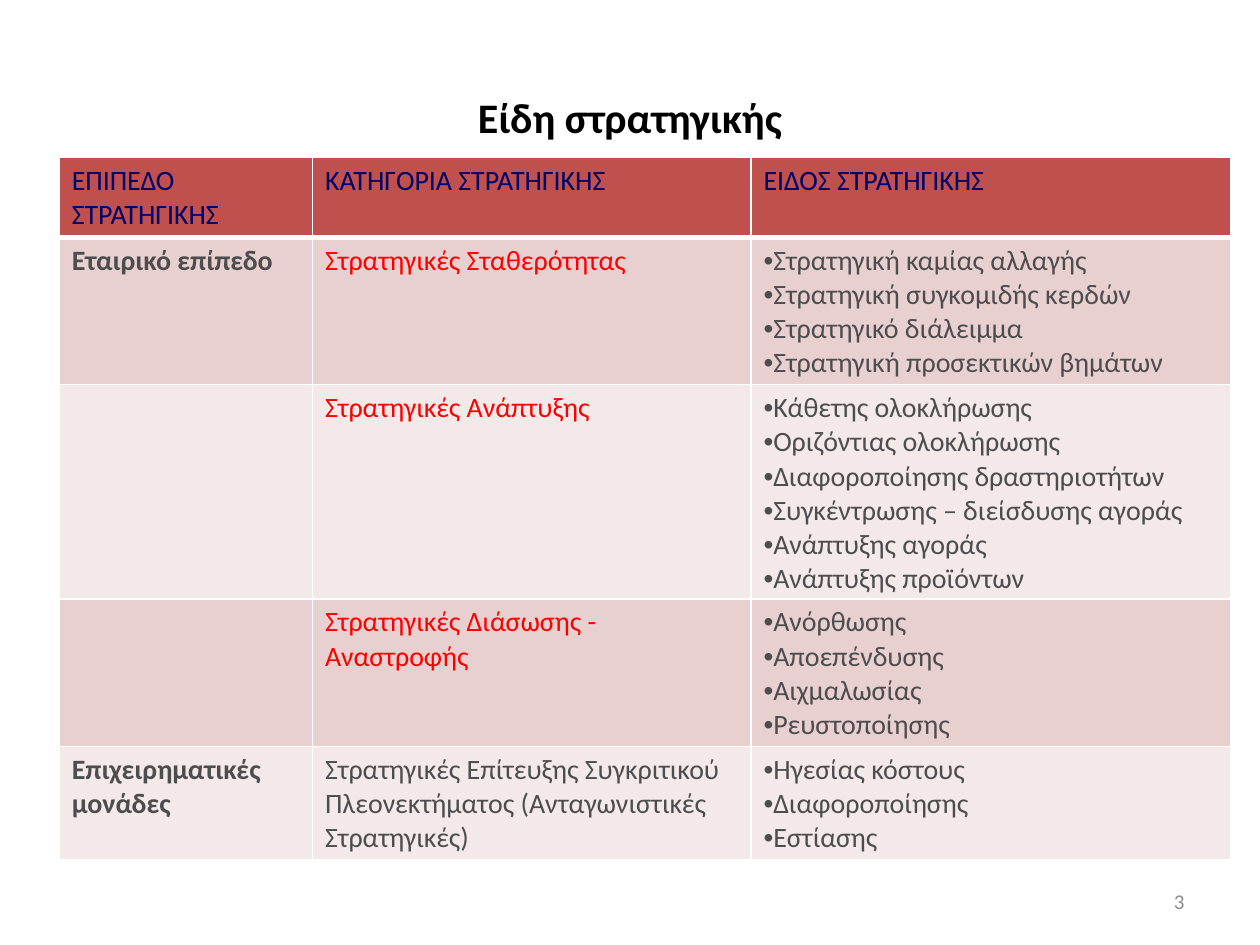
from dataclasses import dataclass

from lxml.etree import SubElement
from pptx import Presentation
from pptx.dml.color import RGBColor
from pptx.enum.text import MSO_ANCHOR as Anchor, PP_ALIGN as Align
from pptx.oxml.ns import qn
from pptx.util import Inches, Pt

FONT = "Calibri"
COLORS = {
    "title": "000000",
    "header_text": "000066",
    "body": "4D4D4D",
    "category": "FF0000",
    "number": "8C8C8C",
    "header": "C0504D",
    "dark_band": "E8D0D0",
    "light_band": "F4E9E9",
    "border": "FFFFFF",
}
COLUMN_WIDTHS = (2.01, 3.48, 3.81)
ROW_HEIGHTS = (0.63, 1.17, 1.7, 1.17, 0.9)
HEADERS = ("ΕΠΙΠΕΔΟ ΣΤΡΑΤΗΓΙΚΗΣ", "ΚΑΤΗΓΟΡΙΑ ΣΤΡΑΤΗΓΙΚΗΣ", "ΕΙΔΟΣ ΣΤΡΑΤΗΓΙΚΗΣ")


@dataclass
class StrategyRow:
    level: str
    category: str
    kinds: tuple[str, ...]
    category_color: str = "category"


STRATEGIES = (
    StrategyRow("Εταιρικό επίπεδο", "Στρατηγικές Σταθερότητας", (
        "Στρατηγική καμίας αλλαγής",
        "Στρατηγική συγκομιδής κερδών",
        "Στρατηγικό διάλειμμα",
        "Στρατηγική προσεκτικών βημάτων",
    )),
    StrategyRow("", "Στρατηγικές Ανάπτυξης", (
        "Κάθετης ολοκλήρωσης",
        "Οριζόντιας ολοκλήρωσης",
        "Διαφοροποίησης δραστηριοτήτων",
        "Συγκέντρωσης – διείσδυσης αγοράς",
        "Ανάπτυξης αγοράς",
        "Ανάπτυξης προϊόντων",
    )),
    StrategyRow("", "Στρατηγικές Διάσωσης - Αναστροφής", (
        "Ανόρθωσης", "Αποεπένδυσης", "Αιχμαλωσίας", "Ρευστοποίησης",
    )),
    StrategyRow(
        "Επιχειρηματικές μονάδες",
        "Στρατηγικές Επίτευξης Συγκριτικού Πλεονεκτήματος (Ανταγωνιστικές Στρατηγικές)",
        ("Ηγεσίας κόστους", "Διαφοροποίησης", "Εστίασης"),
        category_color="body",
    ),
)


def rgb(name: str) -> RGBColor:
    return RGBColor.from_string(COLORS[name])


def add_run(paragraph, text: str, size: float, color: str, bold: bool = False) -> None:
    run = paragraph.add_run()
    run.text = text
    run.font.name = FONT
    run.font.size = Pt(size)
    run.font.bold = bold
    run.font.color.rgb = rgb(color)


def add_label(slide, box: tuple[float, ...], text: str, size: float, color: str,
              align: Align, bold: bool = False) -> None:
    shape = slide.shapes.add_textbox(*(Inches(length) for length in box))
    frame = shape.text_frame
    frame.word_wrap = True
    frame.vertical_anchor = Anchor.MIDDLE
    paragraph = frame.paragraphs[0]
    paragraph.alignment = align
    add_run(paragraph, text, size, color, bold)


def set_borders(cell, bottom: float = 1) -> None:
    properties = cell._tc.get_or_add_tcPr()
    for tag, width in (("lnL", 1), ("lnR", 1), ("lnT", 1), ("lnB", bottom)):
        line = SubElement(properties, qn(f"a:{tag}"), w=str(Pt(width)))
        fill = SubElement(line, qn("a:solidFill"))
        SubElement(fill, qn("a:srgbClr"), val=COLORS["border"])


def fill_cell(cell, lines: tuple[str, ...], color: str, background: str,
              bold: bool = False, bullets: bool = False, bottom: float = 1) -> None:
    set_borders(cell, bottom)
    cell.fill.solid()
    cell.fill.fore_color.rgb = rgb(background)
    frame = cell.text_frame
    for index, text in enumerate(lines):
        paragraph = frame.add_paragraph() if index else frame.paragraphs[0]
        if bullets:
            properties = paragraph._p.get_or_add_pPr()
            SubElement(properties, qn("a:buFont"), typeface="Arial")
            SubElement(properties, qn("a:buChar"), char="•")
        if text:
            add_run(paragraph, text, 16, color, bold)


def add_strategy_table(slide) -> None:
    frame = slide.shapes.add_table(
        len(ROW_HEIGHTS), len(COLUMN_WIDTHS), Inches(0.47), Inches(1.25),
        Inches(sum(COLUMN_WIDTHS)), Inches(sum(ROW_HEIGHTS)))
    table = frame.table
    table.first_row = table.horz_banding = False
    for column, width in zip(table.columns, COLUMN_WIDTHS):
        column.width = Inches(width)
    for row, height in zip(table.rows, ROW_HEIGHTS):
        row.height = Inches(height)

    # Header row
    for index, header in enumerate(HEADERS):
        fill_cell(table.cell(0, index), (header,), "header_text", "header", bottom=3)

    # Strategy rows in alternating bands
    for index, strategy in enumerate(STRATEGIES, start=1):
        band = "dark_band" if index % 2 else "light_band"
        level, category, kinds = table.rows[index].cells
        fill_cell(level, (strategy.level,), "body", band, bold=True)
        fill_cell(category, (strategy.category,), strategy.category_color, band)
        fill_cell(kinds, strategy.kinds, "body", band, bullets=True)


def main() -> None:
    presentation = Presentation()
    presentation.slide_width = Inches(10)
    presentation.slide_height = Inches(7.5)
    slide = presentation.slides.add_slide(presentation.slide_layouts[6])

    # Title, table and slide number
    add_label(slide, (0.5, 0.3, 9, 1.25), "Είδη στρατηγικής", 24, "title",
              Align.CENTER, bold=True)
    add_strategy_table(slide)
    add_label(slide, (7.17, 6.95, 2.33, 0.4), "3", 12, "number", Align.RIGHT)

    presentation.save("out.pptx")


if __name__ == "__main__":
    main()
